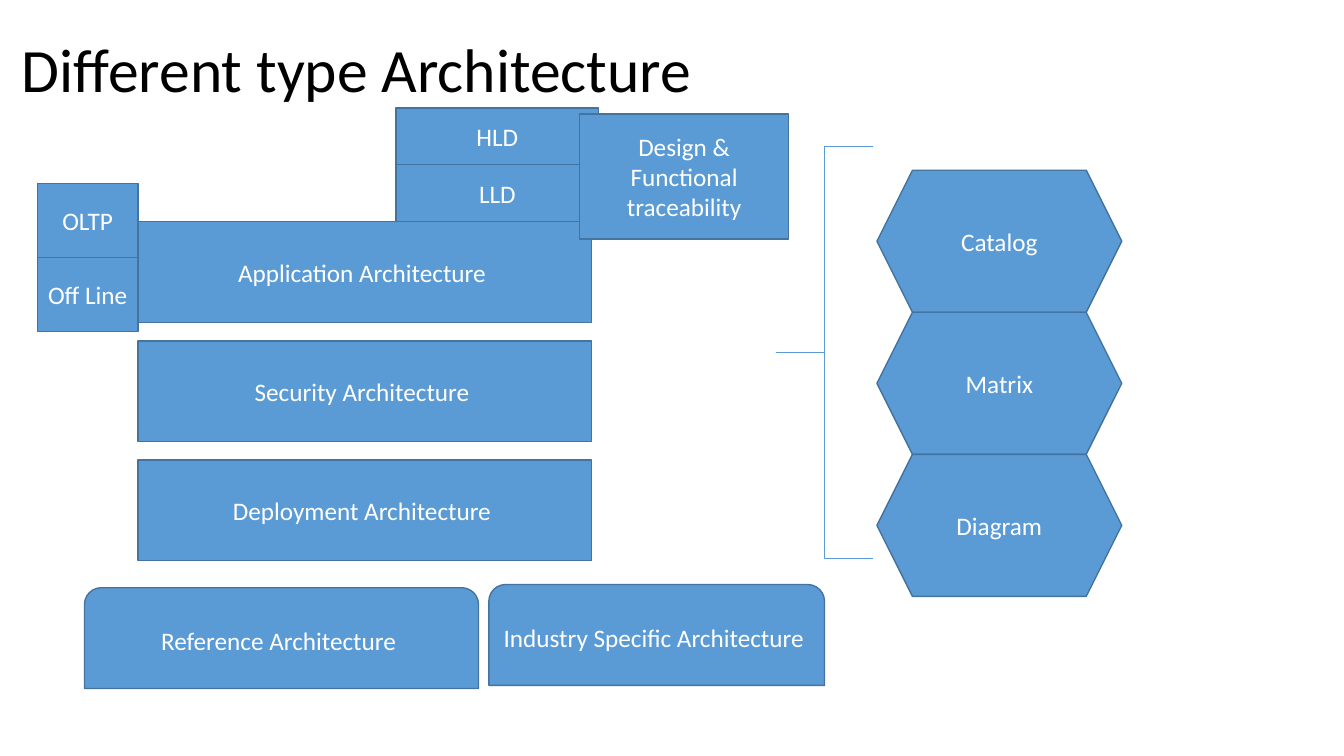
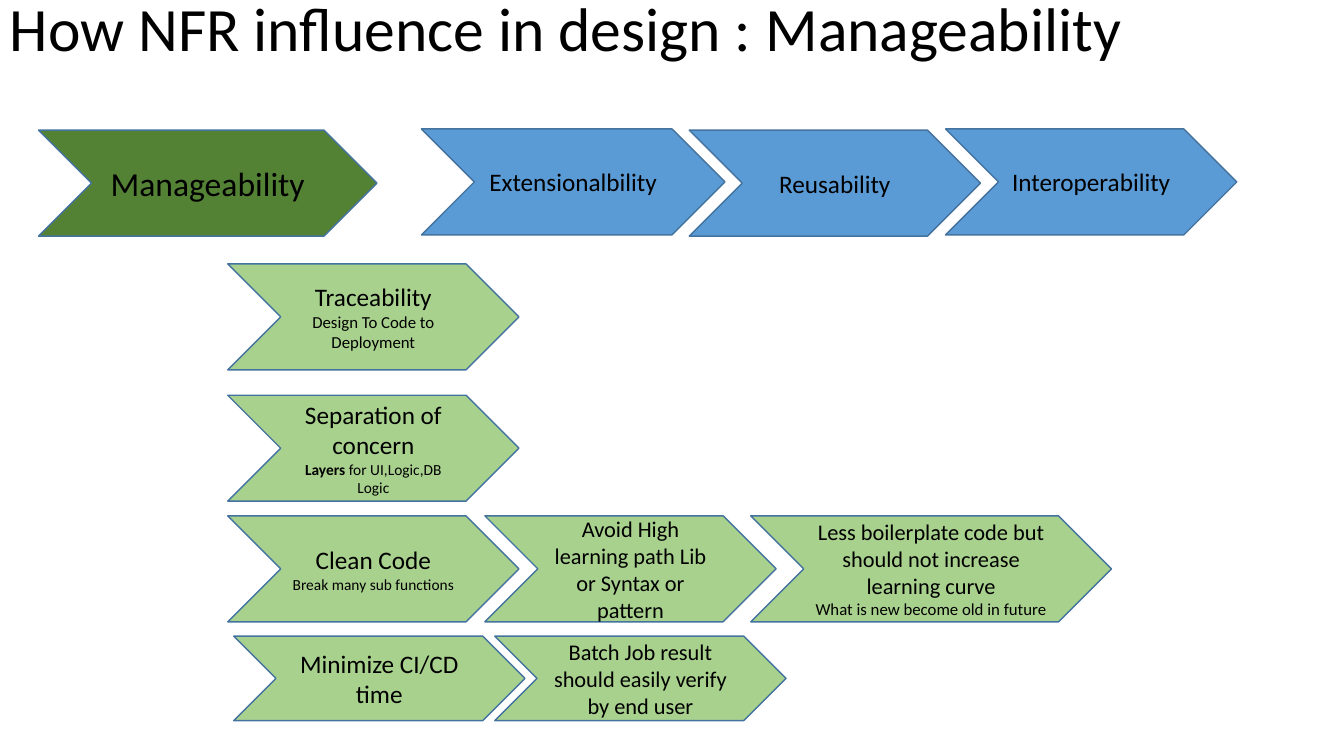
import pptx
import pptx.util
import pptx.dml.color
import pptx.enum.shapes
import pptx.enum.text

Cm, Pt = pptx.util.Cm, pptx.util.Pt
KIND = pptx.enum.shapes.MSO_SHAPE
ALIGN = pptx.enum.text.PP_ALIGN
FONT = "Calibri"
HUES = {"blue": "5B9BD5", "edge": "43739E", "dark": "548235",
        "light": "A9D18E", "black": "000000", "white": "FFFFFF"}


def write(shape, paras, ink, look):
    """Fill a shape with paragraphs, each a list of (text, size, bold) runs."""
    frame = shape.text_frame
    form = {"word_wrap": True,
            "vertical_anchor": pptx.enum.text.MSO_ANCHOR.MIDDLE}
    for key, val in form.items():
        setattr(frame, key, val)
    for i, runs in enumerate(paras):
        para = frame.add_paragraph() if i else frame.paragraphs[0]
        for key, val in look.items():
            setattr(para, key, val)
        for text, size, bold in runs:
            run = para.add_run()
            run.text = text
            for key, val in {"name": FONT, "size": Pt(size), "bold": bold}.items():
                setattr(run.font, key, val)
            run.font.color.rgb = pptx.dml.color.RGBColor.from_string(HUES[ink])


def draw(slide, kind, box, paras, fill="blue", ink="white", edge="edge", thick=1):
    """Add a preset shape; box is left, top, width, height in cm."""
    shape = slide.shapes.add_shape(kind, *map(Cm, box))
    shape.shadow.inherit = False
    if fill:
        shape.fill.solid()
        shape.fill.fore_color.rgb = pptx.dml.color.RGBColor.from_string(HUES[fill])
    else:
        shape.fill.background()
    shape.line.color.rgb = pptx.dml.color.RGBColor.from_string(HUES[edge])
    shape.line.width = Pt(thick)
    write(shape, paras, ink, {"alignment": ALIGN.CENTER})
    return shape


deck = pptx.Presentation()
deck.slide_width, deck.slide_height = Cm(33.87), Cm(19.05)

# Slides and titles
heads = [("Different type Architecture", (0.3, 0, 17.5, 3.68)),
         ("How NFR influence in design : Manageability", (0, -0.18, 29.21, 1.96))]
slides = []
for text, box in heads:
    slide = deck.slides.add_slide(deck.slide_layouts[6])
    title = slide.shapes.add_textbox(*map(Cm, box))
    write(title, [[(text, 44, False)]], "black",
          {"alignment": ALIGN.LEFT, "line_spacing": 0.9})
    slides.append(slide)
types, manage = slides

# Types of architecture: stacks of equal shapes, as
# kind, left, top, width, height, step, labels
stacks = [
    (KIND.RECTANGLE, 3.48, 5.59, 11.43, 2.54, 3,
     [f"{name} Architecture " for name in ("Application", "Security", "Deployment")]),
    (KIND.HEXAGON, 22.1, 4.29, 6.17, 3.58, 3.58, ["Catalog", "Matrix", "Diagram"]),
    (KIND.RECTANGLE, 9.98, 2.72, 5.11, 1.43, 1.43, ["HLD", "LLD"]),
    (KIND.RECTANGLE, 14.61, 2.87, 5.26, 3.15, 0, ["Design & Functional traceability"]),
    (KIND.ROUND_2_SAME_RECTANGLE, 2.13, 14.81, 9.93, 2.54, 0, ["Reference Architecture "]),
    (KIND.ROUND_2_SAME_RECTANGLE, 12.32, 14.73, 8.46, 2.54, 0,
     ["Industry Specific Architecture "]),
    (KIND.RECTANGLE, 0.94, 4.62, 2.54, 1.87, 1.87, ["OLTP", "Off Line"]),
]
for kind, left, top, wide, high, step, labels in stacks:
    for i, label in enumerate(labels):
        draw(types, kind, (left, top + i * step, wide, high), [[(label, 18, False)]])

brace = draw(types, KIND.LEFT_BRACE, (19.56, 3.7, 2.44, 10.36), [],
             fill=None, edge="blue", thick=0.5)
brace.adjustments[0], brace.adjustments[1] = 0, 0.5

# Manageability: rows of chevrons, as
# top, height, fill, then left, width, paragraphs of each
WIDE, HIGH = 7.34, 2.67
rows = [
    (3.28, HIGH, "dark", [(0.97, 8.53, [[("Manageability", 24, False)]])]),
    (3.25, HIGH, "blue", [(10.62, 7.65, [[("Extensionalbility", 18, False)]])]),
    (3.28, HIGH, "blue", [(17.37, WIDE, [[("Reusability", 18, False)]])]),
    (3.25, HIGH, "blue", [(23.83, WIDE, [[("Interoperability", 18, False)]])]),
    (6.65, HIGH, "light", [
        (5.74, WIDE, [[("Traceability ", 18, False),
                       ("Design To Code to Deployment", 12, False)]])]),
    (9.96, HIGH, "light", [
        (5.74, WIDE, [[("Separation of concern", 18, False)],
                      [("Layers", 11, True), (" for UI,Logic,DB Logic", 11, False)]])]),
    (13, HIGH, "light", [
        (5.74, WIDE, [[("Clean Code", 18, False)],
                      [("Break many sub functions", 11, False)]]),
        (12.22, WIDE, [[("Avoid High learning path Lib or Syntax or pattern", 16, False)]]),
        (18.92, 9.09, [[("Less boilerplate code but should not increase learning curve",
                         16, False)],
                       [("What is new become old in future", 12, False)]])]),
    (16.03, 2.13, "light", [
        (5.89, WIDE, [[("Minimize CI/CD time", 18, False)]]),
        (12.47, WIDE, [[("Batch Job result should easily verify by end user", 16, False)]])]),
]
for top, high, fill, steps in rows:
    for left, wide, paras in steps:
        draw(manage, KIND.CHEVRON, (left, top, wide, high), paras, fill, "black")

deck.save("out.pptx")
